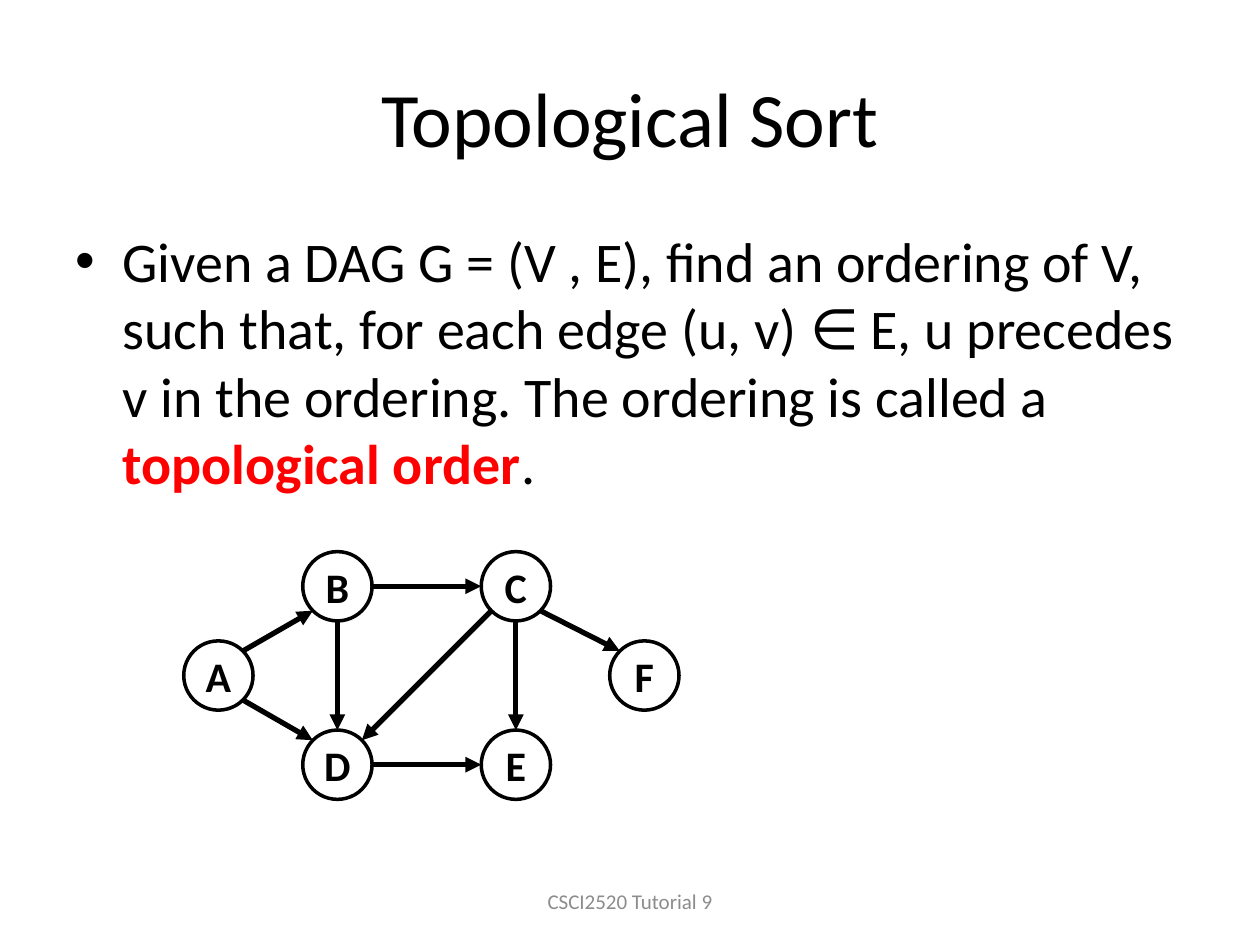
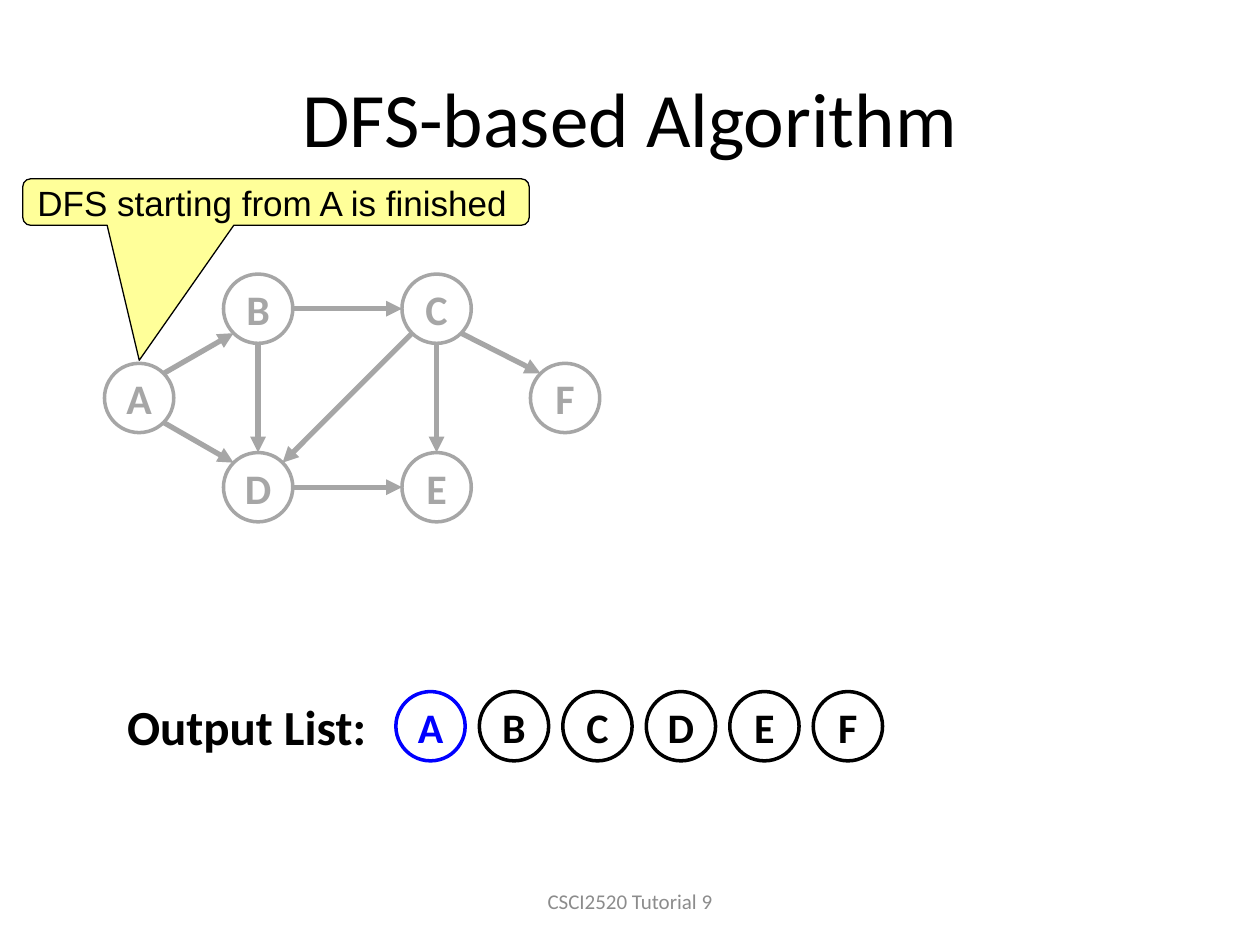
from dataclasses import dataclass

from lxml.etree import SubElement
from pptx import Presentation
from pptx.dml.color import RGBColor
from pptx.enum.shapes import MSO_CONNECTOR, MSO_SHAPE
from pptx.enum.text import MSO_ANCHOR, PP_ALIGN
from pptx.oxml.ns import qn
from pptx.util import Pt


@dataclass(frozen=True)
class Theme:
    font: str = "Calibri"
    callout_font: str = "Arial"
    black: RGBColor = RGBColor(0x00, 0x00, 0x00)
    white: RGBColor = RGBColor(0xFF, 0xFF, 0xFF)
    red: RGBColor = RGBColor(0xFF, 0x00, 0x00)
    blue: RGBColor = RGBColor(0x00, 0x00, 0xFF)
    visited: RGBColor = RGBColor(0xA6, 0xA6, 0xA6)
    footer: RGBColor = RGBColor(0x8C, 0x8C, 0x8C)
    yellow: RGBColor = RGBColor(0xFF, 0xFF, 0x99)
    title_size: int = 44
    body_size: int = 32
    label_size: int = 28
    node_size: int = 24
    callout_size: int = 20
    footer_size: int = 12


THEME = Theme()
DIAMETER = 39.6


def write(shape, runs, size, align=PP_ALIGN.LEFT, font=THEME.font, **frame_format):
    """Fill a shape with one paragraph of (text, colour, bold) runs."""
    frame = shape.text_frame
    for name, value in {"word_wrap": True, **frame_format}.items():
        setattr(frame, name, value)
    paragraph = frame.paragraphs[0]
    paragraph.alignment = align
    for text, color, bold in runs:
        run = paragraph.add_run()
        run.text = text
        for name, value in {"name": font, "size": Pt(size), "bold": bold}.items():
            setattr(run.font, name, value)
        run.font.color.rgb = color
    return paragraph


def add_node(slide, letter, left, top, color):
    """Draw one lettered graph vertex."""
    node = slide.shapes.add_shape(
        MSO_SHAPE.OVAL, Pt(left), Pt(top), Pt(DIAMETER), Pt(DIAMETER))
    node.shadow.inherit = False
    node.fill.solid()
    node.fill.fore_color.rgb = THEME.white
    node.line.color.rgb = color
    node.line.width = Pt(2)
    write(node, [(letter, color, True)], THEME.node_size, PP_ALIGN.CENTER,
          word_wrap=False, vertical_anchor=MSO_ANCHOR.MIDDLE,
          margin_left=0, margin_right=0, margin_top=0, margin_bottom=0)


# The graph: vertex offsets from its top left corner, and directed edges
VERTICES = {"A": (0, 51), "B": (68, 0), "D": (68, 102),
            "C": (170, 0), "E": (170, 102), "F": (243.4, 51)}
EDGES = ["AB", "BC", "DE", "AD", "CD", "CE", "BD", "CF"]

prs = Presentation()
prs.slide_width, prs.slide_height = Pt(720), Pt(540)

# Title, footer and graph on each slide
slides = []
for heading, graph_left, graph_top, graph_color in [
        ("Topological Sort", 105, 315.2, THEME.black),
        ("DFS-based Algorithm", 59.7, 156.6, THEME.visited)]:
    slide = prs.slides.add_slide(prs.slide_layouts[5])
    slides.append(slide)

    title = slide.shapes.title
    for name, value in {"left": 36, "top": 21.6, "width": 648, "height": 90}.items():
        setattr(title, name, Pt(value))
    write(title, [(heading, THEME.black, False)], THEME.title_size, PP_ALIGN.CENTER,
          vertical_anchor=MSO_ANCHOR.MIDDLE)

    footer = slide.shapes.add_textbox(Pt(246), Pt(500.5), Pt(228), Pt(28.8))
    write(footer, [("CSCI2520 Tutorial 9", THEME.footer, False)], THEME.footer_size,
          PP_ALIGN.CENTER, vertical_anchor=MSO_ANCHOR.MIDDLE)

    for letter, (x, y) in VERTICES.items():
        add_node(slide, letter, graph_left + x, graph_top + y, graph_color)

    # Each edge leaves on the side facing its target and enters on the opposite side
    for source, target in EDGES:
        (x1, y1), (x2, y2) = VERTICES[source], VERTICES[target]
        side_x = (x2 > x1) - (x2 < x1)
        side_y = (y2 > y1) - (y2 < y1)
        reach = DIAMETER / 2 / (side_x ** 2 + side_y ** 2) ** 0.5
        center_x, center_y = graph_left + DIAMETER / 2, graph_top + DIAMETER / 2
        edge = slide.shapes.add_connector(
            MSO_CONNECTOR.STRAIGHT,
            Pt(center_x + x1 + side_x * reach), Pt(center_y + y1 + side_y * reach),
            Pt(center_x + x2 - side_x * reach), Pt(center_y + y2 - side_y * reach))
        edge.line.color.rgb = graph_color
        edge.line.width = Pt(3)
        SubElement(edge.line._get_or_add_ln(), qn("a:tailEnd"), type="triangle")
        SubElement(edge._element.spPr, qn("a:effectLst"))

sort_slide, dfs_slide = slides

# Definition of a topological order
definition = sort_slide.shapes.add_textbox(Pt(36), Pt(126), Pt(648), Pt(356.4))
bullet = write(definition, [
    ("Given a DAG G = (V , E), find an ordering of V, such that, for each edge "
     "(u, v) ∈ E, u precedes v in the ordering. The ordering is called a ",
     THEME.black, False),
    ("topological order", THEME.red, True),
    (".", THEME.black, False)], THEME.body_size)
bullet_format = bullet._p.get_or_add_pPr()
bullet_format.set("marL", str(Pt(27)))
bullet_format.set("indent", str(Pt(-27)))
SubElement(bullet_format, qn("a:buFont"), typeface="Arial")
SubElement(bullet_format, qn("a:buChar"), char="•")

# Output list
output_label = dfs_slide.shapes.add_textbox(Pt(65.5), Pt(394.6), Pt(152.6), Pt(41))
write(output_label, [("Output List:", THEME.black, True)], THEME.label_size,
      word_wrap=False)
for position, letter in enumerate("ABCDEF"):
    add_node(dfs_slide, letter, 226.2 + 47.7 * position, 395.2,
             THEME.blue if letter == "A" else THEME.black)

# Callout pointing at vertex A
callout = dfs_slide.shapes.add_shape(
    MSO_SHAPE.ROUNDED_RECTANGULAR_CALLOUT, Pt(13), Pt(102.2), Pt(289.4), Pt(26.6))
callout.shadow.inherit = False
for index, value in enumerate([-0.27, 3.4, 0.17]):
    callout.adjustments[index] = value
callout.fill.solid()
callout.fill.fore_color.rgb = THEME.yellow
callout.line.color.rgb = THEME.black
callout.line.width = Pt(0.75)
write(callout, [("DFS starting from A is finished", THEME.black, False)],
      THEME.callout_size, font=THEME.callout_font,
      vertical_anchor=MSO_ANCHOR.MIDDLE, margin_top=0, margin_bottom=0)

prs.save("out.pptx")
